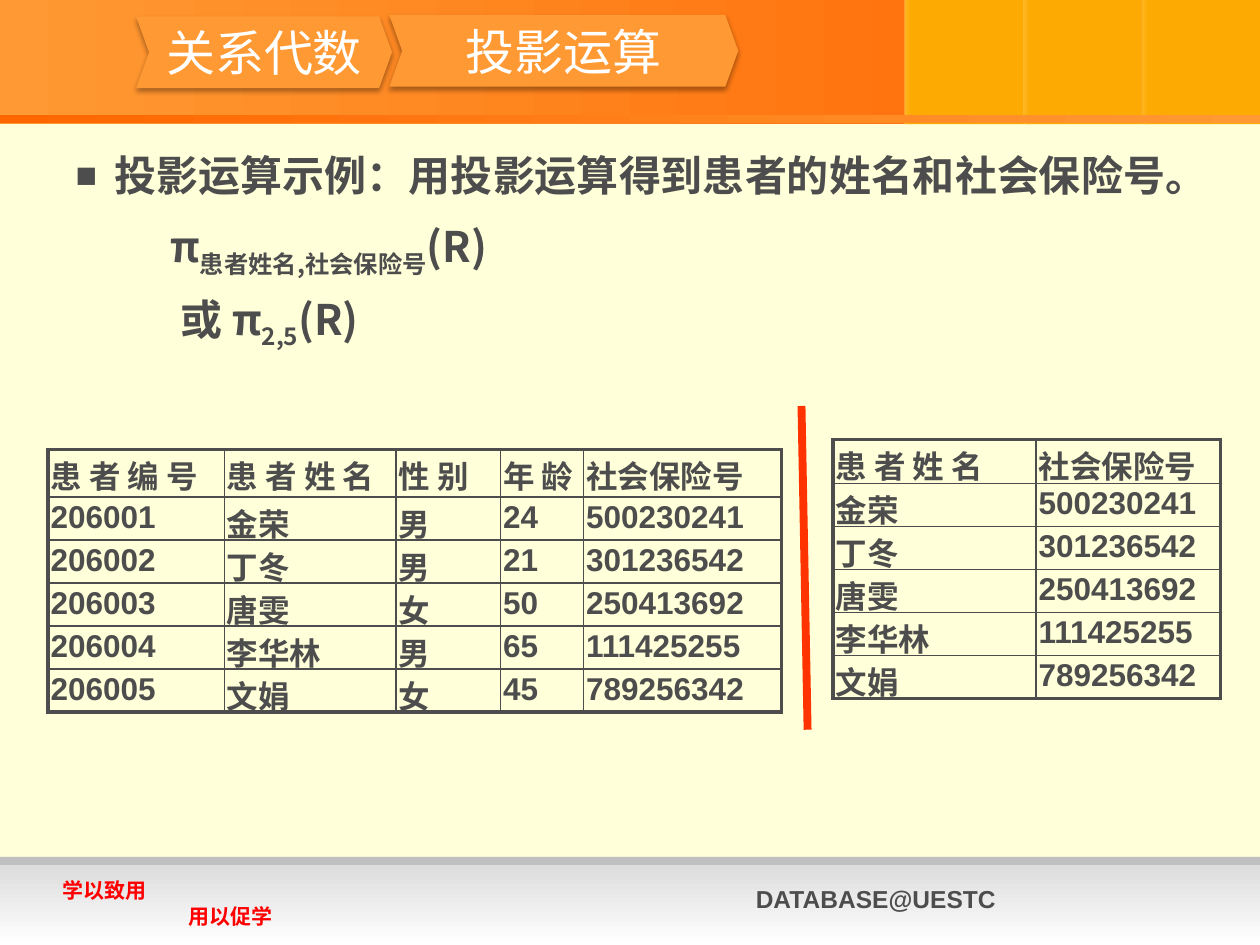
from lxml import etree
from pptx import Presentation
from pptx.dml.color import RGBColor
from pptx.enum.shapes import MSO_CONNECTOR, MSO_SHAPE
from pptx.enum.text import MSO_ANCHOR, MSO_AUTO_SIZE, PP_ALIGN
from pptx.oxml.ns import qn
from pptx.util import Pt

RECTANGLE, CHEVRON = MSO_SHAPE.RECTANGLE, MSO_SHAPE.CHEVRON
STRAIGHT = MSO_CONNECTOR.STRAIGHT
MIDDLE, CENTER, LEFT = MSO_ANCHOR.MIDDLE, PP_ALIGN.CENTER, PP_ALIGN.LEFT
NO_FIT = MSO_AUTO_SIZE.NONE

WIDTH, HEIGHT = 720, 540
CJK_FONT = "Noto Sans CJK SC"
COLORS = {
    "cream": "FFFFD9", "orange": "FF9933", "deep": "FF6600", "amber": "FDAA03",
    "grey": "C0C0C0", "pale": "DDDDDD", "white": "FFFFFF", "text": "4D4D4D",
    "red": "FF0000", "divider": "FF3300", "black": "000000",
}
BODY = {"name": CJK_FONT, "size": Pt(24), "bold": True, "color": "text"}
CRUMB = {"name": CJK_FONT, "size": Pt(28), "bold": False, "color": "white"}
CELL = {"name": "Arial", "size": Pt(18), "bold": True, "color": "text"}
MOTTO = {"name": "Arial", "size": Pt(12), "bold": True, "color": "red"}
COURSE = {"name": "Arial", "size": Pt(14), "bold": True, "color": "text"}

PATIENTS = [
    ["患 者 编 号", "患 者 姓 名", "性 别", "年 龄", "社会保险号"],
    ["206001", "金荣", "男", "24", "500230241"],
    ["206002", "丁冬", "男", "21", "301236542"],
    ["206003", "唐雯", "女", "50", "250413692"],
    ["206004", "李华林", "男", "65", "111425255"],
    ["206005", "文娟", "女", "45", "789256342"],
]
PROJECTION = [[row[1], row[4]] for row in PATIENTS]


def rgb(name):
    return RGBColor.from_string(COLORS[name])


def points(*values):
    return [Pt(value) for value in values]


def child(parent, tag, **attributes):
    return etree.SubElement(parent, qn(tag), attributes)


def add_run(paragraph, text, style, baseline=None):
    run = paragraph.add_run()
    run.text = text
    for attribute, value in style.items():
        if attribute == "color":
            run.font.color.rgb = rgb(value)
        else:
            setattr(run.font, attribute, value)
    properties = run.font._element
    child(properties, "a:ea", typeface=CJK_FONT)
    if baseline:
        properties.set("baseline", str(baseline))


def add_block(slide, box, colors, angle=0, alphas=(), kind=RECTANGLE):
    """Shape without outline; two colours make a gradient."""
    shape = slide.shapes.add_shape(kind, *points(*box))
    shape.shadow.inherit = False
    shape.line.fill.background()
    if len(colors) == 1:
        shape.fill.solid()
        shape.fill.fore_color.rgb = rgb(colors[0])
        return shape
    shape.fill.gradient()
    shape.fill.gradient_angle = angle
    for stop, color in zip(shape.fill.gradient_stops, colors):
        stop.color.rgb = rgb(color)
    for color, alpha in zip(shape._element.spPr.iter(qn("a:srgbClr")), alphas):
        child(color, "a:alpha", val=str(alpha * 1000))
    return shape


def add_header(slide, left, top, width, height):
    add_block(slide, (left, top, width, height), ["orange", "deep"])
    panel = 67.7
    for index in (1, 2, 3):
        x = left + width - index * panel
        add_block(slide, (x, top, panel, height), ["amber"])
        add_block(slide, (x, top, 3.6, height), ["cream", "amber"], alphas=(18, 15))
    add_block(slide, (left, top + height - 5.5, width, 5), ["deep", "orange"])


def add_footer(slide, left, top, width, height):
    add_block(slide, (left, top, width, 20.9), ["grey"])
    add_block(slide, (left, top + 5, width, height - 5), ["pale", "white"], angle=270)
    add_label(slide, (left + 424.8, top + 12.2, 248, 24.5), ["DATABASE@UESTC"], COURSE)
    add_label(slide, (left + 28.8, top + 8.6, 144, 36), ["学以致用", "用以促学"], MOTTO, 72)


def add_label(slide, box, lines, style, step=0):
    """Text box in which each line is indented one step further."""
    frame = slide.shapes.add_textbox(*points(*box)).text_frame
    frame.word_wrap = True
    for index, line in enumerate(lines):
        paragraph = frame.add_paragraph() if index else frame.paragraphs[0]
        paragraph._p.get_or_add_pPr().set("marL", str(Pt(step * index)))
        add_run(paragraph, line, style)


def add_breadcrumb(slide, box, text):
    shape = add_block(slide, box, ["orange"], kind=CHEVRON)
    shape.adjustments[0] = 0.18
    effects = shape._element.spPr.find(qn("a:effectLst"))
    shadow = child(effects, "a:outerShdw", blurRad=str(Pt(3.1)), dist=str(Pt(1.8)),
                   dir="5400000", rotWithShape="0")
    child(child(shadow, "a:srgbClr", val=COLORS["black"]), "a:alpha", val="35000")
    frame = shape.text_frame
    frame.word_wrap = False
    frame.vertical_anchor = MIDDLE
    frame.paragraphs[0].alignment = CENTER
    add_run(frame.paragraphs[0], text, CRUMB)


def fill_body(body, box):
    body.left, body.top, body.width, body.height = points(*box)
    frame = body.text_frame
    frame.auto_size = NO_FIT
    # Each line: left margin, hanging indent, (text, baseline) runs
    lines = [
        (58.5, -22.5, [("投影运算示例：用投影运算得到患者的姓名和社会保险号。", None)]),
        (90, 0, [("π", None), ("患者姓名,社会保险号", -25000), ("(R)", None)]),
        (96, 0, [("或 π", None), ("2,5", -25000), ("(R)", None)]),
    ]
    for index, (margin, indent, runs) in enumerate(lines):
        paragraph = frame.add_paragraph() if index else frame.paragraphs[0]
        properties = paragraph._p.get_or_add_pPr()
        properties.set("marL", str(Pt(margin)))
        properties.set("indent", str(Pt(indent)))
        if indent:
            child(properties, "a:buSzPct", val="85000")
            child(properties, "a:buFont", typeface="Arial")
            child(properties, "a:buChar", char="■")
        else:
            child(properties, "a:buNone")
        paragraph.level = 1
        paragraph.alignment = LEFT
        paragraph.line_spacing = 0.9
        paragraph.space_before = Pt(12 if index else 0)
        for text, baseline in runs:
            add_run(paragraph, text, BODY, baseline)


def set_borders(cell, outer):
    """Thick lines on the outer sides, thin lines inside."""
    properties = cell._tc.get_or_add_tcPr()
    for side in "LRTB":
        width = Pt(2.25 if side in outer else 1)
        line = child(properties, "a:ln" + side, w=str(width))
        child(child(line, "a:solidFill"), "a:srgbClr", val=COLORS["text"])


def add_data_table(slide, left, top, columns, header, row_height, data):
    last_row, last_column = len(data) - 1, len(columns) - 1
    box = points(left, top, sum(columns), header + row_height * last_row)
    table = slide.shapes.add_table(len(data), len(columns), *box).table
    table.first_row = table.horz_banding = False
    for column, width in zip(table.columns, columns):
        column.width = Pt(width)
    for row, values in enumerate(data):
        table.rows[row].height = Pt(row_height if row else header)
        for column, value in enumerate(values):
            cell = table.cell(row, column)
            for side in ("left", "right", "top", "bottom"):
                setattr(cell, "margin_" + side, Pt(1.5))
            edges = {"L": column == 0, "R": column == last_column,
                     "T": row == 0, "B": row == last_row}
            set_borders(cell, [side for side, outer in edges.items() if outer])
            cell.fill.background()
            add_run(cell.text_frame.paragraphs[0], value, CELL)


def add_divider(slide, start, end):
    line = slide.shapes.add_connector(STRAIGHT, *points(*start, *end))
    line.line.color.rgb = rgb("divider")
    line.line.width = Pt(4.5)
    child(line._element.spPr, "a:effectLst")


def main():
    presentation = Presentation()
    presentation.slide_width, presentation.slide_height = points(WIDTH, HEIGHT)
    slide = presentation.slides.add_slide(presentation.slide_layouts[1])
    slide.background.fill.solid()
    slide.background.fill.fore_color.rgb = rgb("cream")
    title, body = slide.placeholders
    title._element.getparent().remove(title._element)

    # Frame of the slide
    add_header(slide, 0, 0, WIDTH, 71)
    add_footer(slide, 0, 489.6, WIDTH, 50.4)
    add_breadcrumb(slide, (77.8, 9.4, 146.2, 41), "关系代数")
    add_breadcrumb(slide, (222.5, 8.6, 199.4, 41), "投影运算")

    # Example and its result
    fill_body(body, (0, 85, 704, 393))
    add_data_table(slide, 27.4, 257, [100.8, 98, 59.8, 47.5, 113], 27, 24.5, PATIENTS)
    add_divider(slide, (458, 232), (461.5, 417))
    add_data_table(slide, 476, 251.2, [116, 105.5], 25.2, 24.5, PROJECTION)
    presentation.save("out.pptx")


if __name__ == "__main__":
    main()
